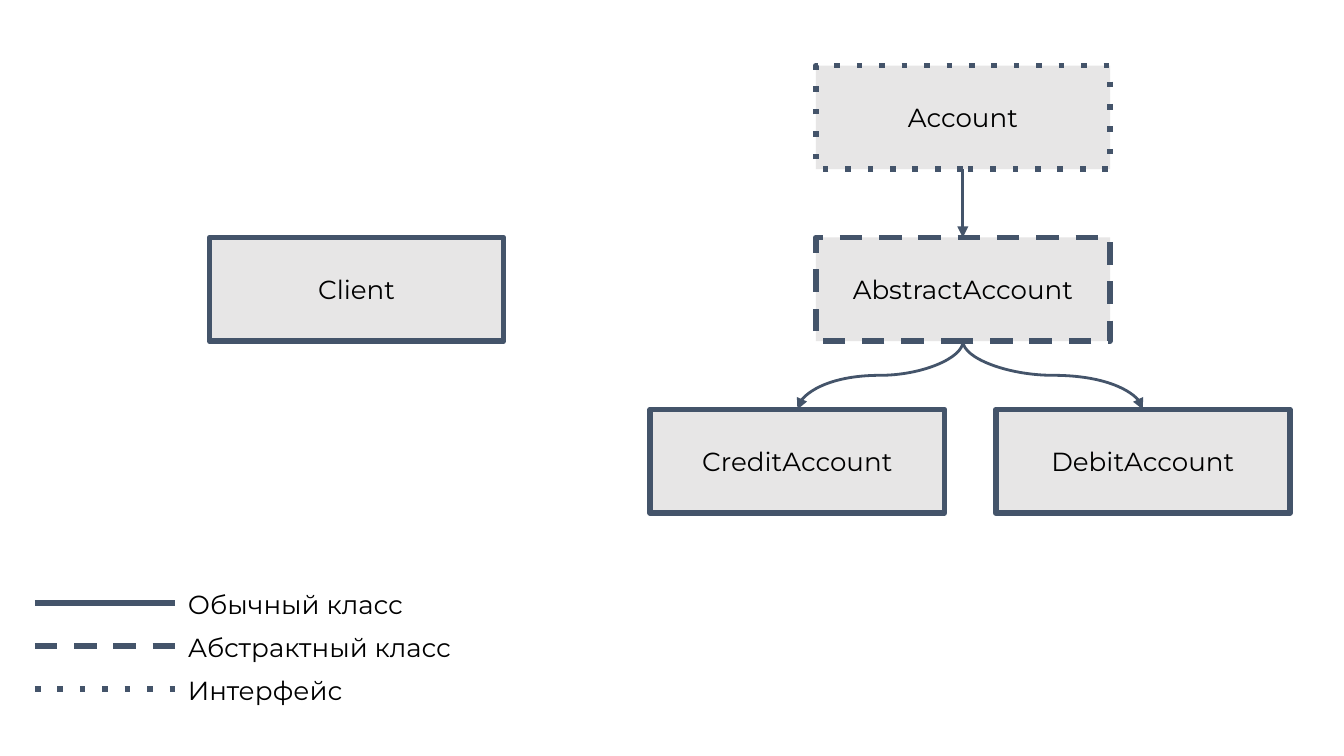
from lxml.etree import SubElement
from pptx import Presentation
from pptx.dml.color import RGBColor
from pptx.enum.shapes import MSO_CONNECTOR as Link, MSO_SHAPE as Preset
from pptx.enum.text import MSO_ANCHOR as Anchor, PP_ALIGN as Align
from pptx.oxml.ns import qn
from pptx.util import Cm, Pt

INK, BOX_FILL, TEXT = "44546A", "E7E6E6", "000000"
BOX_W, BOX_H = 5.56, 1.96
ROW_TOP, ROW_STEP = 1.24, 3.25
CLASS_BOXES = [  # name, left, row, dash
    ("Account", 15.42, 0, "dot"),
    ("AbstractAccount", 15.42, 1, "dash"),
    ("CreditAccount", 12.29, 2, None),
    ("DebitAccount", 18.82, 2, None),
    ("Client", 3.96, 1, None),
]
INHERITANCE = [
    ("Account", "AbstractAccount"),
    ("AbstractAccount", "CreditAccount"),
    ("AbstractAccount", "DebitAccount"),
]
LEGEND = [  # label, text width, dash
    ("Обычный класс", 6.2, None),
    ("Абстрактный класс", 6.2, "dash"),
    ("Интерфейс", 3.5, "dot"),
]
LEGEND_LEFT, LEGEND_RIGHT = 0.66, 3.3
LEGEND_Y, LEGEND_STEP = 11.4, 0.81
FRAME_FORMAT = {
    "word_wrap": True,
    "margin_left": Cm(0.25),
    "margin_right": Cm(0.25),
    "margin_top": Cm(0.25),
    "margin_bottom": Cm(0.25),
}


def color(value):
    return RGBColor.from_string(value)


def style_line(line, width, dash=None):
    line.color.rgb = color(INK)
    line.width = Pt(width)
    ln = line._get_or_add_ln()
    if dash:
        SubElement(ln, qn("a:prstDash"), val=dash)
    SubElement(ln, qn("a:round"))
    return ln


def write(shape, text, align, anchor):
    frame = shape.text_frame
    for key, value in {**FRAME_FORMAT, "vertical_anchor": anchor}.items():
        setattr(frame, key, value)
    paragraph = frame.paragraphs[0]
    paragraph.alignment = align
    run = paragraph.add_run()
    run.text = text
    for key, value in {"name": "Montserrat", "size": Pt(14)}.items():
        setattr(run.font, key, value)
    run.font.color.rgb = color(TEXT)


def add_class_box(shapes, name, left, row, dash):
    box = shapes.add_shape(Preset.RECTANGLE, Cm(left), Cm(ROW_TOP + row * ROW_STEP),
                           Cm(BOX_W), Cm(BOX_H))
    box.shadow.inherit = False
    box.fill.solid()
    box.fill.fore_color.rgb = color(BOX_FILL)
    style_line(box.line, 3, dash)
    write(box, name, Align.CENTER, Anchor.MIDDLE)
    return box


def add_connector(shapes, kind, *ends):
    connector = shapes.add_connector(kind, *ends)
    SubElement(connector._element.spPr, qn("a:effectLst"))
    return connector


def add_inheritance_arrow(shapes, parent, child):
    """Curve from the parent's bottom to the child's top, turned to leave vertically."""
    start_x, end_x = (box.left + box.width // 2 for box in (parent, child))
    start_y, end_y = parent.top + parent.height, child.top
    arrow = add_connector(shapes, Link.CURVE, start_x, start_y, end_x, end_y)
    arrow.begin_connect(parent, 2)
    arrow.end_connect(child, 0)
    drop, spread = end_y - start_y, abs(end_x - start_x)
    turned = {
        "left": (start_x + end_x - drop) // 2,
        "top": (start_y + end_y - spread) // 2,
        "width": drop,
        "height": spread,
    }
    for key, value in turned.items():
        setattr(arrow, key, value)
    to_left = end_x < start_x
    xfrm = arrow._element.spPr.xfrm
    for key, value in {"rot": 90 if to_left else 270, "flipH": not to_left, "flipV": False}.items():
        setattr(xfrm, key, value)
    SubElement(style_line(arrow.line, 1.5), qn("a:tailEnd"), type="triangle")


def add_legend_row(shapes, row, label, width, dash):
    y = LEGEND_Y + row * LEGEND_STEP
    sample = add_connector(shapes, Link.STRAIGHT, Cm(LEGEND_LEFT), Cm(y), Cm(LEGEND_RIGHT), Cm(y))
    style_line(sample.line, 3, dash)
    caption = shapes.add_textbox(Cm(LEGEND_RIGHT), Cm(y - 0.53), Cm(width), Cm(1.12))
    write(caption, label, Align.LEFT, Anchor.TOP)


def main():
    deck = Presentation()
    deck.slide_width, deck.slide_height = Cm(25.4), Cm(14.29)
    shapes = deck.slides.add_slide(deck.slide_layouts[6]).shapes
    boxes = {entry[0]: add_class_box(shapes, *entry) for entry in CLASS_BOXES}
    for parent, child in INHERITANCE:
        add_inheritance_arrow(shapes, boxes[parent], boxes[child])
    for row, entry in enumerate(LEGEND):
        add_legend_row(shapes, row, *entry)
    deck.save("out.pptx")


if __name__ == "__main__":
    main()
